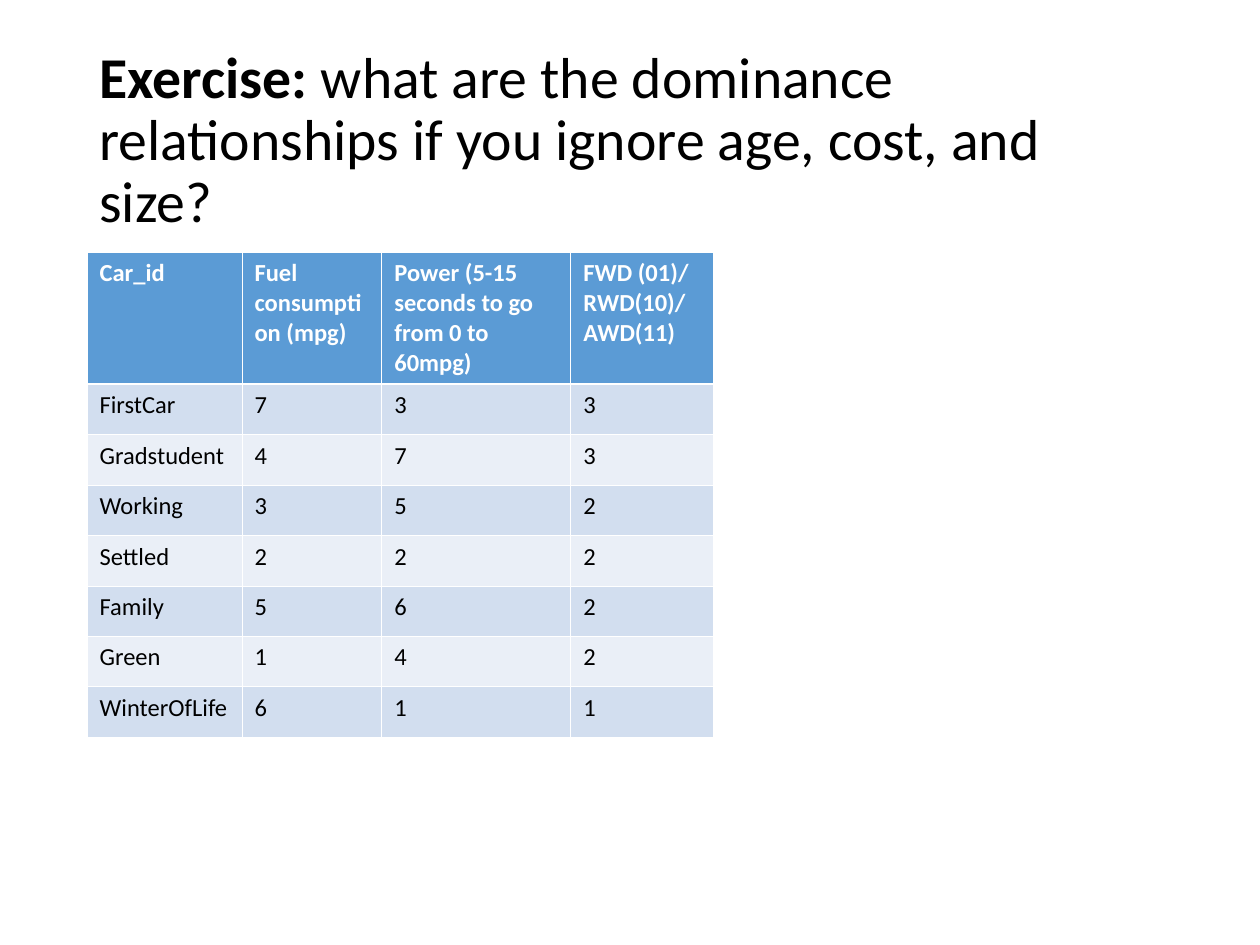
import pptx
import pptx.dml.color
import pptx.enum.text
import pptx.oxml.ns
import pptx.util
import lxml.etree

TITLE = [("Exercise: ", True),
         ("what are the dominance relationships if you ignore age, cost, and size?", False)]
HEADER = ["Car_id", "Fuel consumption (mpg)",
          "Power (5-15 seconds to go from 0 to 60mpg)", "FWD (01)/ RWD(10)/ AWD(11)"]
CARS = [
    ("FirstCar", 7, 3, 3),
    ("Gradstudent", 4, 7, 3),
    ("Working", 3, 5, 2),
    ("Settled", 2, 2, 2),
    ("Family", 5, 6, 2),
    ("Green", 1, 4, 2),
    ("WinterOfLife", 6, 1, 1),
]
FONT = "Calibri"
BLACK, WHITE, HEADER_FILL = "000000", "FFFFFF", "5B9BD5"
BANDS = ["D2DEEF", "EAEFF7"]
LEFT, TABLE_TOP = 0.69, 2
COLUMN_WIDTHS = [1.23, 1.11, 1.5, 1.13]
ROW_HEIGHTS = [1.05] + [0.4] * len(CARS)
THIN, THICK = 0.45, 1.47


def color(value):
    return pptx.dml.color.RGBColor.from_string(value)


def style(span, size, value, bold):
    span.font.name = FONT
    span.font.size = pptx.util.Pt(size)
    span.font.color.rgb = color(value)
    span.font.bold = bold


def add_borders(cell, widths):
    properties = cell._tc.get_or_add_tcPr()
    qn = pptx.oxml.ns.qn
    for side, width in widths.items():
        line = lxml.etree.SubElement(properties, qn(f"a:ln{side}"), w=str(pptx.util.Pt(width)))
        fill = lxml.etree.SubElement(line, qn("a:solidFill"))
        lxml.etree.SubElement(fill, qn("a:srgbClr"), val=WHITE)


def add_title(slide):
    box = slide.shapes.add_textbox(*map(pptx.util.Inches, (LEFT, 0.4, 8.63, 1.45)))
    frame = box.text_frame
    frame.word_wrap = True
    frame.vertical_anchor = pptx.enum.text.MSO_ANCHOR.MIDDLE
    para = frame.paragraphs[0]
    para.line_spacing = 0.9
    for text, bold in TITLE:
        span = para.add_run()
        span.text = text
        style(span, 33, BLACK, bold)


def add_car_table(slide):
    rows = [HEADER] + CARS
    area = (LEFT, TABLE_TOP, sum(COLUMN_WIDTHS), sum(ROW_HEIGHTS))
    table = slide.shapes.add_table(len(rows), len(HEADER), *map(pptx.util.Inches, area)).table
    for column, width in zip(table.columns, COLUMN_WIDTHS):
        column.width = pptx.util.Inches(width)
    for row, height in zip(table.rows, ROW_HEIGHTS):
        row.height = pptx.util.Inches(height)
    for r, values in enumerate(rows):
        is_header = r == 0
        top = THICK if r == 1 else THIN
        bottom = THICK if is_header else THIN
        for c, value in enumerate(values):
            cell = table.cell(r, c)
            add_borders(cell, {"L": THIN, "R": THIN, "T": top, "B": bottom})
            cell.fill.solid()
            cell.fill.fore_color.rgb = color(HEADER_FILL if is_header else BANDS[(r - 1) % 2])
            para = cell.text_frame.paragraphs[0]
            para.text = str(value)
            style(para.runs[0], 14, WHITE if is_header else BLACK, is_header)


def main():
    deck = pptx.Presentation()
    deck.slide_width = pptx.util.Inches(10)
    deck.slide_height = pptx.util.Inches(7.5)
    slide = deck.slides.add_slide(deck.slide_layouts[6])
    add_title(slide)
    add_car_table(slide)
    deck.save("out.pptx")


if __name__ == "__main__":
    main()
